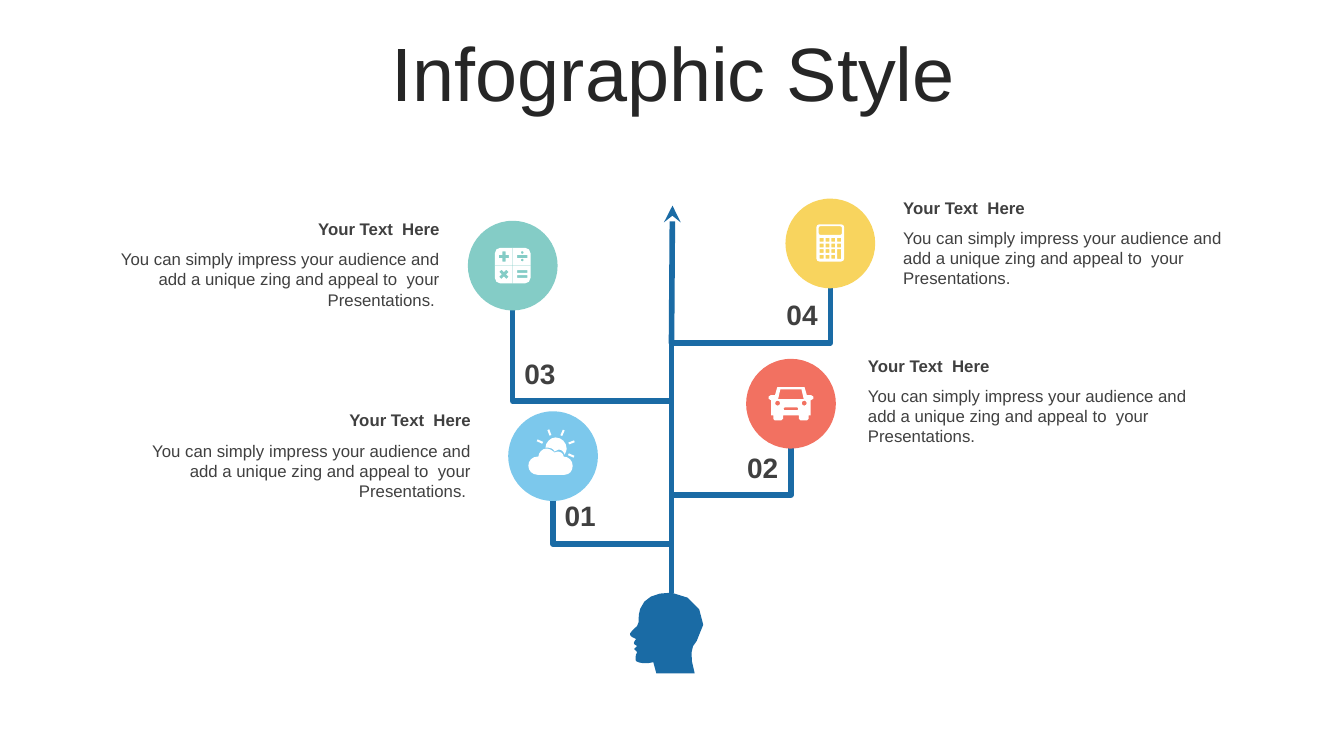
from dataclasses import dataclass
from math import cos, pi, radians, sin

from pptx import Presentation
from pptx.dml.color import RGBColor
from pptx.enum.shapes import MSO_CONNECTOR, MSO_SHAPE
from pptx.enum.text import MSO_ANCHOR, MSO_AUTO_SIZE, PP_ALIGN
from pptx.oxml.ns import qn
from pptx.oxml.xmlchemy import OxmlElement
from pptx.util import Inches, Pt

STRAIGHT, ELBOW = MSO_CONNECTOR.STRAIGHT, MSO_CONNECTOR.ELBOW
OVAL = MSO_SHAPE.OVAL
LEFT, CENTER, RIGHT = PP_ALIGN.LEFT, PP_ALIGN.CENTER, PP_ALIGN.RIGHT
TOP, MIDDLE = MSO_ANCHOR.TOP, MSO_ANCHOR.MIDDLE
GROW = MSO_AUTO_SIZE.SHAPE_TO_FIT_TEXT

COLUMNS, ROWS = 133.3, 75  # square cells
CELL = Inches(0.1)
ICON_UNIT = 0.1  # cells per unit of an icon outline
DISC = 8.9
TRUNK = 66.6


@dataclass(frozen=True)
class Theme:
    font: str = "Arial"
    title_ink: str = "262626"
    ink: str = "404040"
    tree: str = "1A6BA5"
    icon: str = "FFFFFF"
    blue: str = "7CC8EC"
    red: str = "F27161"
    teal: str = "84CCC6"
    yellow: str = "F8D45E"
    title_size: int = 54
    number_size: int = 20
    text_size: int = 12
    line_width: int = 4


@dataclass(frozen=True)
class Branch:
    number: str
    side: int  # -1 left of the trunk, 1 right of it
    disc: tuple
    colour: str
    icon: list
    bend: float
    number_top: float
    heading: tuple  # left, top, width


def box(left, top, right, bottom, radius=0):
    if not radius:
        return [(left, top), (right, top), (right, bottom), (left, bottom)]
    corners = [(right - radius, bottom - radius), (left + radius, bottom - radius),
               (left + radius, top + radius), (right - radius, top + radius)]
    return [(x + radius * cos(radians(90 * turn + step)), y + radius * sin(radians(90 * turn + step)))
            for turn, (x, y) in enumerate(corners) for step in (0, 45, 90)]


def circle(x, y, radius):
    return [(x + radius * cos(pi * step / 4), y + radius * sin(pi * step / 4)) for step in range(8)]


def turned(points, x, y, angle=0):
    """Rotate points about the origin, then move the origin to (x, y)."""
    c, s = cos(radians(angle)), sin(radians(angle))
    return [(x + px * c - py * s, y + px * s + py * c) for px, py in points]


def plus(x, y, arm, half, angle=0):
    quarter = [(half, -arm), (half, -half), (arm, -half)]
    return turned([p for turn in range(4) for p in turned(quarter, 0, 0, 90 * turn)], x, y, angle)


def mirrored(half):
    return half + [(-x, y) for x, y in reversed(half)]


def curved(*steps):
    """Trace points (x, y) and cubic curves (x1, y1, x2, y2, x, y)."""
    points = []
    for step in steps:
        if len(step) == 2:
            points.append(step)
            continue
        knots = [points[-1], step[:2], step[2:4], step[4:]]
        samples = 4 if max(abs(step[4] - knots[0][0]), abs(step[5] - knots[0][1])) > 4 else 1
        for t in (n / samples for n in range(1, samples + 1)):
            weights = ((1 - t) ** 3, 3 * t * (1 - t) ** 2, 3 * t * t * (1 - t), t ** 3)
            points.append(tuple(sum(w * k[axis] for w, k in zip(weights, knots)) for axis in (0, 1)))
    return points


def calculator():
    keys = []
    for column in range(4):
        for row in range(4):
            if (column, row) == (3, 3):
                continue
            x, y = -10.5 + 5.8 * column, -5.5 + 5.6 * row
            height = 9.6 if (column, row) == (3, 2) else 3.8
            keys.append(box(x, y, x + 3.8, y + height))
    return [box(-13.8, -19, 13.8, 18, 3), box(-11.5, -17, 11.5, -8.5, 1.5)] + keys


def arithmetic():
    return [box(-17.7, -17.7, 17.7, 17.7, 5.5), plus(0, 0, 17.7, 0.3),
            plus(-8.7, -9, 5, 1.6), plus(-8.7, 8.7, 5, 1.6, 45),
            box(4.5, -10.5, 14.5, -7.5), circle(9.5, -13, 1.4), circle(9.5, -5.5, 1.4),
            box(4.5, 4.5, 14.5, 7.3), box(4.5, 9.5, 14.5, 12.3)]


def car():
    body = [(13.5, -16.5), (15.8, -8.5), (20, -8.5), (22.2, -7), (22.2, -5), (20, -3.5), (19.5, -3.5),
            (19.5, 11.5), (17.5, 11.5), (17.5, 15), (16, 16.5), (9.5, 16.5), (7.8, 15), (7.8, 11.5)]
    return [mirrored(body), mirrored([(10.5, -14.2), (12.7, -4.5)]),
            circle(-13.2, -0.5, 2.5), circle(13.2, -0.5, 2.5), box(-7.2, 3.7, 7.2, 6.5, 1.3)]


def weather():
    cloud = curved((-6.5, -7.5), (-3.5, -7.5, -0.5, -5.5, 1.5, -3.5), (2.5, -4.5, 3.5, -4.5, 4.5, -4.5),
                   (7.5, -4.5, 10.5, -2.5, 10.5, 0.5), (15.5, 0.5, 19.5, 4.5, 19.5, 9.5),
                   (19.5, 14.5, 16.5, 18.5, 11.5, 18.5), (-15.5, 18.5),
                   (-20.5, 18.5, -24.5, 14.5, -24.5, 9.5), (-24.5, 4.5, -20.5, 0.5, -15.5, 0.5),
                   (-14.5, 0.5), (-14.5, -3.5, -10.5, -7.5, -6.5, -7.5))
    sun = curved((2.5, -18.5), (8.5, -18.5, 13.5, -13.5, 13.5, -7.5), (13.5, -5.5, 12.5, -3.5, 11.5, -1.5),
                 (10.5, -4.5, 8.5, -6.5, 5.5, -6.5), (4.5, -6.5, 2.5, -5.5, 1.5, -4.5),
                 (0.5, -7.5, -2.5, -8.5, -7.5, -8.5), (-7.5, -13.5, -2.5, -18.5, 2.5, -18.5))
    rays = [turned(box(14, -1, 20, 1), 2.5, -7.5, angle) for angle in range(-156, 25, 45)]
    return [cloud, sun] + rays


def head():
    return [curved((0, 0), (-17, 0, -27, 5, -31, 16), (-34, 25, -31, 28, -34, 33), (-38, 37, -42, 40, -41, 42),
                   (-40, 44, -37, 45, -35, 46), (-36, 47, -38, 50, -37, 51), (-34, 53),
                   (-35, 54, -37, 54, -37, 56), (-36, 57, -34, 58, -34, 59), (-36, 62, -36, 67, -35, 68),
                   (-32, 70, -25, 71, -18, 69), (-15, 80), (23, 80), (18, 62, 19, 54, 25, 48),
                   (42, 27, 23, 1, 0, 0))]


class Canvas:
    """The current slide and its theme; all lengths are grid cells."""

    def __init__(self, slide, theme):
        self.shapes, self.theme = slide.shapes, theme

    def text(self, words, left, top, width, height, size, colour, align=LEFT, bold=False,
             anchor=TOP, parent=None):
        label = (parent or self.shapes).add_textbox(*(round(v * CELL) for v in (left, top, width, height)))
        frame = label.text_frame
        frame.word_wrap, frame.auto_size, frame.vertical_anchor = True, GROW, anchor
        paragraph = frame.paragraphs[0]
        paragraph.text, paragraph.alignment = words, align
        font = paragraph.font
        font.name, font.size, font.bold = self.theme.font, Pt(size), bold
        font.color.rgb = RGBColor.from_string(colour)
        return paragraph

    def paint(self, shape, colour):
        shape.shadow.inherit = False
        shape.fill.solid()
        shape.fill.fore_color.rgb = RGBColor.from_string(colour)
        shape.line.fill.background()

    def disc(self, x, y, colour):
        corner = [round((v - DISC / 2) * CELL) for v in (x, y)]
        self.paint(self.shapes.add_shape(OVAL, *corner, round(DISC * CELL), round(DISC * CELL)), colour)

    def outline(self, contours, x, y, colour):
        builder = None
        for contour in contours:
            points = [(round((x + px * ICON_UNIT) * CELL), round((y + py * ICON_UNIT) * CELL))
                      for px, py in contour]
            if builder:
                builder.move_to(*points[0])
            else:
                builder = self.shapes.build_freeform(*points[0])
            builder.add_line_segments(points[1:])
        self.paint(builder.convert_to_shape(), colour)

    def line(self, kind, *ends):
        connector = self.shapes.add_connector(kind, *(round(v * CELL) for v in ends))
        connector.line.color.rgb = RGBColor.from_string(self.theme.tree)
        connector.line.width = Pt(self.theme.line_width)
        connector._element.spPr.append(OxmlElement("a:effectLst"))
        return connector

    def arrow(self, *ends):
        tip = OxmlElement("a:tailEnd")
        tip.set("type", "stealth")
        self.line(STRAIGHT, *ends)._element.spPr.find(qn("a:ln")).append(tip)

    def limb(self, x, end, bend, side):
        """Climb the trunk, cross at row bend, then climb to (x, end)."""
        middle, tall = (TRUNK + x) / 2, bend - end
        reach = abs(x - TRUNK) / 2
        limb = self.line(ELBOW, middle + side * tall, bend + reach, middle - side * tall, bend - reach)
        limb._element.spPr.find(qn("a:xfrm")).set("rot", str((90 if side > 0 else 270) * 60000))

    def caption(self, branch):
        left, top, width = branch.heading
        align = RIGHT if branch.side < 0 else LEFT
        body = "You can simply impress your audience and add a unique zing and appeal to  your Presentations."
        if align == RIGHT:
            body += " "
        style = self.theme.text_size, self.theme.ink, align
        group = self.shapes.add_group_shape().shapes
        self.text(body, left, top + 3, width, 7.1, *style, parent=group)
        self.text("Your Text  Here", left, top, width, 3, *style, bold=True, parent=group)


def main():
    deck = Presentation()
    deck.slide_width, deck.slide_height = round(COLUMNS * CELL), ROWS * CELL
    theme = Theme()
    canvas = Canvas(deck.slides.add_slide(deck.slide_layouts[6]), theme)
    branches = [
        Branch("01", -1, (54.85, 45.25), theme.blue, weather(), 54, 49, (11.7, 40.2, 36)),
        Branch("02", 1, (78.45, 40.05), theme.red, car(), 49.1, 44.2, (85.1, 34.75, 35.1)),
        Branch("03", -1, (50.85, 26.35), theme.teal, arithmetic(), 39.8, 34.9, (9.9, 21.2, 34.7)),
        Branch("04", 1, (82.35, 24.15), theme.yellow, calculator(), 34, 29, (88.6, 19.1, 34.8)),
    ]
    title = canvas.text("Infographic Style", 3.5, 3.7, 126.6, 7.9, theme.title_size, theme.title_ink,
                        CENTER, anchor=MIDDLE)
    title.line_spacing = 0.9
    for branch in branches:
        x, y = branch.disc
        canvas.limb(x, y + 3.9, branch.bend, branch.side)
        canvas.disc(x, y, branch.colour)
        canvas.outline(branch.icon, x, y, theme.icon)
        canvas.caption(branch)
        canvas.text(branch.number, x if branch.side < 0 else x - 5.5, branch.number_top, 5.4, 4.4,
                    theme.number_size, theme.ink, CENTER, bold=True)
    canvas.arrow(TRUNK, 34.1, 66.7, 20.4)
    canvas.outline(head(), TRUNK, 58.8, theme.tree)
    deck.save("out.pptx")


if __name__ == "__main__":
    main()
